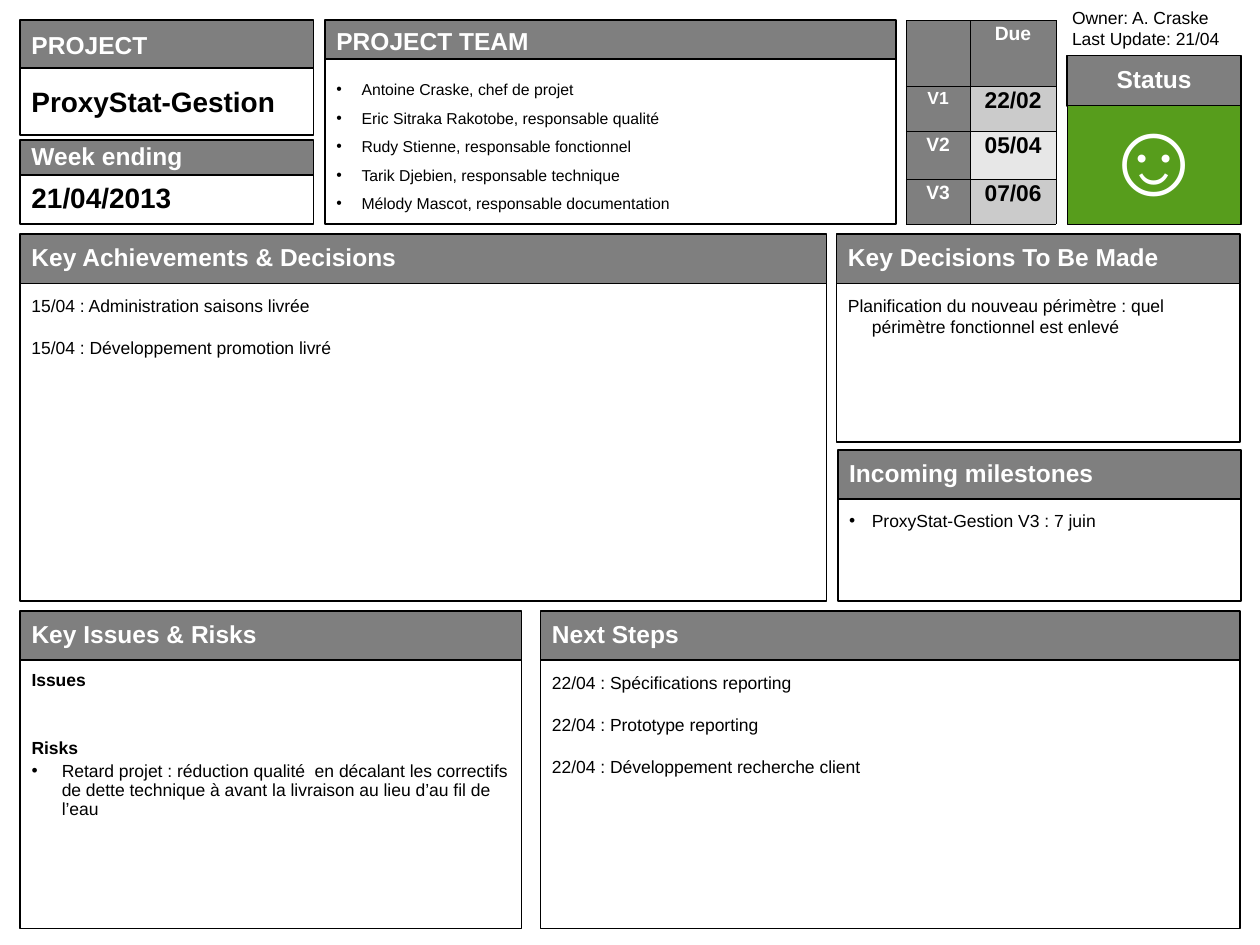
"""Build a one-page weekly project status report."""
from lxml import etree
from pptx import Presentation
from pptx.dml.color import RGBColor
from pptx.enum.shapes import MSO_SHAPE as Shape
from pptx.enum.text import MSO_ANCHOR as Anchor, PP_ALIGN as Align
from pptx.oxml.ns import qn
from pptx.util import Inches, Pt

COLORS = {
    "black": "000000",
    "white": "FFFFFF",
    "header": "7F7F7F",
    "light": "E7E7E7",
    "medium": "CBCBCB",
    "good": "579D1C",
}


def add_text(frame, texts, size, color="black", bold=False, align=Align.LEFT,
             spacing=1.0, gap=0, margin=0, hanging=0, bullet=False):
    """Append one paragraph per text, with gap points between paragraphs."""
    for text in texts:
        is_first = not frame.paragraphs[0].runs
        paragraph = frame.paragraphs[0] if is_first else frame.add_paragraph()
        paragraph.alignment = align
        paragraph.line_spacing = spacing
        paragraph.space_before = Pt(0 if is_first else gap)
        properties = paragraph._p.get_or_add_pPr()
        properties.set("marL", str(Inches(margin)))
        properties.set("indent", str(-Inches(hanging)))
        if bullet:
            bullet_color = etree.SubElement(properties, qn("a:buClr"))
            etree.SubElement(bullet_color, qn("a:srgbClr"), val=COLORS[color])
            etree.SubElement(properties, qn("a:buFont"), typeface="Arial")
            etree.SubElement(properties, qn("a:buChar"), char="•")
        run = paragraph.add_run()
        run.text = text
        run.font.name = "Arial"
        run.font.size = Pt(size)
        run.font.bold = bold
        run.font.color.rgb = RGBColor.from_string(COLORS[color])


def add_box(left, top, width, height, fill, anchor, inset_top=0.05, line=1):
    """Add an outlined rectangle and return its text frame."""
    shape = slide.shapes.add_shape(
        Shape.RECTANGLE, Inches(left), Inches(top), Inches(width), Inches(height))
    shape.shadow.inherit = False
    shape.fill.solid()
    shape.fill.fore_color.rgb = RGBColor.from_string(COLORS[fill])
    shape.line.color.rgb = RGBColor.from_string(COLORS["black"])
    shape.line.width = Pt(line)
    frame = shape.text_frame
    frame.word_wrap = True
    frame.vertical_anchor = anchor
    frame.margin_left = frame.margin_right = Inches(0.09)
    frame.margin_top = Inches(inset_top)
    frame.margin_bottom = Inches(0.05)
    return frame


presentation = Presentation()
presentation.slide_width = Inches(10)
presentation.slide_height = Inches(7.5)
slide = presentation.slides.add_slide(presentation.slide_layouts[6])

short_panels = [
    ("PROJECT", 0.16, 0.38, 0.53, 0.09, "ProxyStat-Gestion", 1.0),
    ("Week ending", 1.11, 0.28, 0.39, 0.05, "21/04/2013", 0.9),
]
for title, top, header_height, height, inset, value, spacing in short_panels:
    header = add_box(0.16, top, 2.33, header_height, "header", Anchor.MIDDLE, inset)
    add_text(header, [title], 14, "white", True, spacing=0.9)
    body = add_box(0.16, top + header_height, 2.33, height, "white", Anchor.MIDDLE)
    add_text(body, [value], 16, bold=True, spacing=spacing)

list_panels = [
    ("PROJECT TEAM", 2.58, 0.16, 4.53, 0.31, 1.31, 0.09, [
        (["Antoine Craske, chef de projet",
          "Eric Sitraka Rakotobe, responsable qualité",
          "Rudy Stienne, responsable fonctionnel",
          "Tarik Djebien, responsable technique",
          "Mélody Mascot, responsable documentation"],
         dict(size=9, spacing=1.5, margin=0.2, hanging=0.2, bullet=True))]),
    ("Key Achievements & Decisions", 0.16, 1.86, 6.4, 0.39, 2.52, 0.05, [
        (["15/04 : Administration saisons livrée",
          "15/04 : Développement promotion livré"], dict(size=10, gap=12))]),
    ("Key Decisions To Be Made", 6.64, 1.86, 3.2, 0.39, 1.26, 0.05, [
        (["Planification du nouveau périmètre : quel périmètre fonctionnel est enlevé"],
         dict(size=10, margin=0.19, hanging=0.19))]),
    ("Incoming milestones", 6.65, 3.57, 3.2, 0.39, 0.81, 0.05, [
        (["ProxyStat-Gestion V3 : 7 juin"],
         dict(size=10, margin=0.18, hanging=0.18, bullet=True))]),
    ("Key Issues & Risks", 0.16, 4.85, 3.98, 0.39, 2.13, 0.05, [
        (["Issues", "Risks"], dict(size=10, bold=True, spacing=0.9, gap=28)),
        (["Retard projet : réduction qualité  en décalant les correctifs de dette "
          "technique à avant la livraison au lieu d’au fil de l’eau"],
         dict(size=10, spacing=0.9, gap=2, margin=0.24, hanging=0.24, bullet=True))]),
    ("Next Steps", 4.29, 4.85, 5.55, 0.39, 2.13, 0.05, [
        (["22/04 : Spécifications reporting",
          "22/04 : Prototype reporting",
          "22/04 : Développement recherche client"], dict(size=10, gap=12))]),
]
for title, left, top, width, header_height, height, inset, groups in list_panels:
    header = add_box(left, top, width, header_height, "header", Anchor.MIDDLE, inset)
    add_text(header, [title], 14, "white", True, spacing=0.9)
    body = add_box(left, top + header_height, width, height, "white", Anchor.TOP, 0.09)
    for texts, style in groups:
        add_text(body, texts, **style)

status_header = add_box(8.47, 0.44, 1.38, 0.4, "header", Anchor.MIDDLE)
add_text(status_header, ["Status"], 14, "white", True, Align.CENTER, 0.9)
status = add_box(8.47, 0.84, 1.38, 0.94, "good", Anchor.MIDDLE, line=0.75)
add_text(status, ["☺"], 60, "white", align=Align.CENTER, spacing=0.8)

owner_box = slide.shapes.add_textbox(Inches(8.41), Inches(0.01), Inches(1.42), Inches(0.44))
owner_box.text_frame.word_wrap = True
add_text(owner_box.text_frame, ["Owner: A. Craske", "Last Update: 21/04"], 10)

due_dates = [
    (0.52, "", 11, "Due", 11, "white", "header"),
    (0.36, "V1", 10, "22/02", 13, "black", "medium"),
    (0.38, "V2", 11, "05/04", 13, "black", "light"),
    (0.36, "V3", 11, "07/06", 13, "black", "medium"),
]
table = slide.shapes.add_table(
    len(due_dates), 2, Inches(7.19), Inches(0.16), Inches(1.19), Inches(1.62)).table
table.columns[0].width = Inches(0.51)
table.columns[1].width = Inches(0.68)
for row, (height, version, version_size, due, due_size, due_color, fill) in enumerate(due_dates):
    table.rows[row].height = Inches(height)
    cells = [
        (version, version_size, "white", "header", 0.04),
        (due, due_size, due_color, fill, 0.11),
    ]
    for column, (text, size, color, cell_fill, inset) in enumerate(cells):
        cell = table.cell(row, column)
        cell.margin_left = cell.margin_right = Inches(inset)
        if text:
            add_text(cell.text_frame, [text], size, color, True, Align.CENTER, 0.81)
        properties = cell._tc.get_or_add_tcPr()
        for side in ("a:lnL", "a:lnR", "a:lnT", "a:lnB"):
            border = etree.SubElement(properties, qn(side), w=str(Pt(0.06)))
            border_fill = etree.SubElement(border, qn("a:solidFill"))
            etree.SubElement(border_fill, qn("a:srgbClr"), val=COLORS["black"])
        cell.fill.solid()
        cell.fill.fore_color.rgb = RGBColor.from_string(COLORS[cell_fill])

presentation.save("out.pptx")
